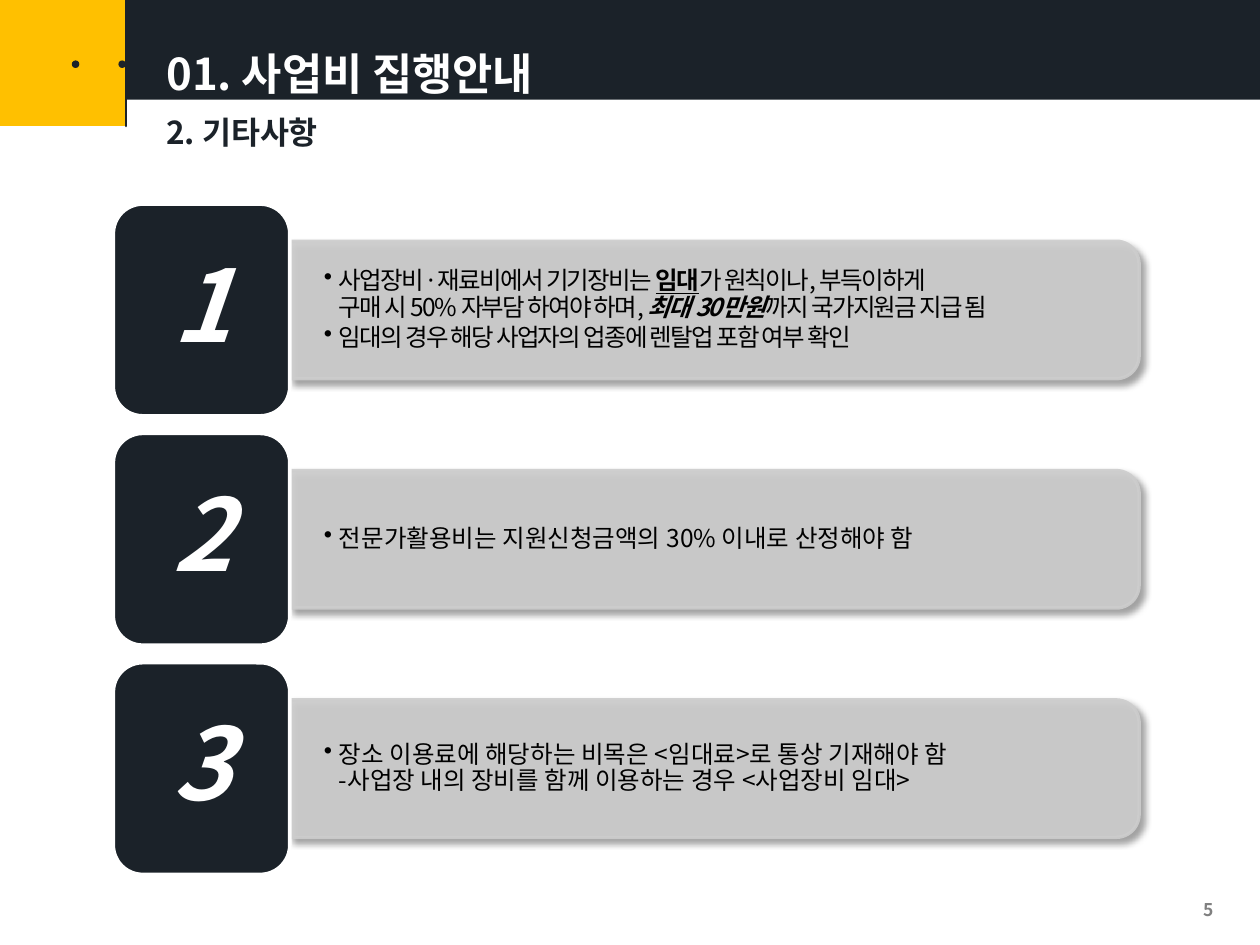
"""Build the project-cost guidance slide with three numbered notes."""
import copy
import math
from dataclasses import dataclass

import pptx
import pptx.dml.color
import pptx.enum.shapes
import pptx.enum.text
import pptx.oxml
import pptx.oxml.ns
import pptx.util
from pptx.util import Inches

FONT = "Noto Sans CJK KR"
NAVY, YELLOW, SILVER, WHITE, BLACK, GRAY = "1B2229", "FFC000", "CDCDCD", "FFFFFF", "000000", "808080"
SHAPES = pptx.enum.shapes.MSO_SHAPE
ALIGN = pptx.enum.text.PP_ALIGN
ANCHOR = pptx.enum.text.MSO_ANCHOR
FIRST_TOP, PITCH = 1.62, 1.82
BADGE_LEFT, BADGE_WIDTH, BADGE_HEIGHT = 0.9, 1.4, 1.68
BAR_LENGTH, BAR_HEIGHT = 6.74, 1.09


@dataclass
class Span:
    text: str
    bold: bool = False
    italic: bool = False
    underline: bool = False


@dataclass
class Note:
    paragraphs: list[list[Span]]
    spacing: float = 0


NOTES = [
    Note([
        [
            Span("사업장비·재료비에서 기기장비는 "),
            Span("임대", bold=True, underline=True),
            Span("가 원칙이나, 부득이하게\n구매 시 50% 자부담 하여야 하며, "),
            Span("최대 30만원", bold=True, italic=True),
            Span("까지 국가지원금 지급 됨"),
        ],
        [Span("임대의 경우 해당 사업자의 업종에 렌탈업 포함 여부 확인")],
    ], spacing=-1),
    Note([[Span("전문가활용비는 지원신청금액의 30% 이내로 산정해야 함")]]),
    Note([[Span("장소 이용료에 해당하는 비목은 <임대료>로 통상 기재해야 함\n"
                "-사업장 내의 장비를 함께 이용하는 경우 <사업장비 임대>")]]),
]


def xml(tag: str, body: str = "", **attributes):
    """Return a drawing element."""
    settings = " ".join(f'{name}="{value}"' for name, value in attributes.items())
    return pptx.oxml.parse_xml(f'<a:{tag} {pptx.oxml.ns.nsdecls("a")} {settings}>{body}</a:{tag}>')


def paint(target, color: str, opacity: int = 100) -> None:
    """Give a fill format a solid colour."""
    target.solid()
    target.fore_color.rgb = pptx.dml.color.RGBColor.from_string(color)
    if opacity < 100:
        for node in target._xPr.iter(pptx.oxml.ns.qn("a:srgbClr")):
            node.append(xml("alpha", val=opacity * 1000))


def style(shape, fill: str | None, line: str | None = None, width: float = 2, opacity: int = 100) -> None:
    """Set the fill and outline of a shape without a shadow."""
    shape.shadow.inherit = False
    for target, color in ((shape.line.fill, line), (shape.fill, fill)):
        if color:
            paint(target, color, opacity)
        else:
            target.background()
    if line:
        shape.line.width = pptx.util.Pt(width)


def add_span(para, span: Span, size: float, color: str, spacing: float = 0) -> None:
    """Append a formatted span, turning newlines into line breaks."""
    for index, text in enumerate(span.text.split("\n")):
        if index:
            para.add_line_break()
            para._p[-1].append(copy.deepcopy(properties))
        run = para.add_run()
        run.text = text
        font = run.font
        font.name, font.size = FONT, pptx.util.Pt(size)
        font.bold, font.italic, font.underline = span.bold, span.italic, span.underline
        paint(font.fill, color)
        properties = run._r.get_or_add_rPr()
        properties.find(pptx.oxml.ns.qn("a:latin")).addnext(xml("ea", typeface=FONT))
        if spacing:
            properties.set("spc", str(int(spacing * 100)))


def write_line(box, span: Span, size: float, color: str, align=ALIGN.LEFT,
               anchor=ANCHOR.MIDDLE, line_spacing: float = 1, before: float = 0, after: float = 0) -> None:
    """Write a single paragraph into a shape."""
    frame = box.text_frame
    frame.word_wrap, frame.vertical_anchor = True, anchor
    para = frame.paragraphs[0]
    para.alignment, para.line_spacing = align, line_spacing
    para.space_before, para.space_after = pptx.util.Pt(before), pptx.util.Pt(after)
    add_span(para, span, size, color)


def add_outline(page, points: list[tuple[float, float]], close: bool):
    """Draw a freeform through points given in inches."""
    builder = page.shapes.build_freeform(*points[0], scale=Inches(1))
    builder.add_line_segments(points[1:], close=close)
    return builder.convert_to_shape()


def add_bulb(page) -> None:
    """Draw the light bulb that rises from the lower edge of the banner."""
    center_x, center_y, radius, floor = 0.785, 0.525, 0.405, 0.79
    start = math.asin((floor - center_y) / radius)
    sweep = math.pi + 2 * start
    angles = [math.pi - start + sweep * step / 60 for step in range(61)]
    arc = [(center_x + radius * math.cos(angle), center_y + radius * math.sin(angle)) for angle in angles]
    style(add_outline(page, arc, True), YELLOW)
    filament = [(0.69, 0.78), (0.6, 0.51), (0.73, 0.51), (0.76, 0.57), (0.79, 0.44),
                (0.82, 0.51), (0.97, 0.51), (0.88, 0.78)]
    style(add_outline(page, filament, False), None, NAVY, 1.5)
    for left in (0.57, 0.94):
        style(page.shapes.add_shape(SHAPES.OVAL, Inches(left), Inches(0.48), Inches(0.06), Inches(0.06)), NAVY)


def add_note(page, number: int, note: Note) -> None:
    """Draw a numbered badge, its bar and its bulleted text."""
    top = FIRST_TOP + (number - 1) * PITCH
    middle = top + BADGE_HEIGHT / 2
    bar_left = BADGE_LEFT + BADGE_WIDTH
    bar = page.shapes.add_shape(
        SHAPES.ROUND_2_SAME_RECTANGLE, Inches(bar_left + (BAR_LENGTH - BAR_HEIGHT) / 2),
        Inches(middle - BAR_LENGTH / 2), Inches(BAR_HEIGHT), Inches(BAR_LENGTH))
    bar.rotation = 90
    style(bar, SILVER, SILVER, opacity=90)
    shade = '<a:srgbClr val="000000"><a:alpha val="40000"/></a:srgbClr>'
    bar._element.spPr.find(pptx.oxml.ns.qn("a:effectLst")).append(
        xml("outerShdw", shade, blurRad=pptx.util.Pt(4), dist=pptx.util.Pt(3), dir=45 * 60000, rotWithShape=0))

    box = page.shapes.add_textbox(Inches(bar_left), Inches(middle - 0.49), Inches(6.68), Inches(0.98))
    frame = box.text_frame
    frame.word_wrap, frame.vertical_anchor = True, ANCHOR.MIDDLE
    frame.margin_left = frame.margin_right = Inches(0.27)
    frame.margin_top = frame.margin_bottom = Inches(0.14)
    for index, spans in enumerate(note.paragraphs):
        para = frame.add_paragraph() if index else frame.paragraphs[0]
        para.line_spacing, para.space_after = 0.9, pptx.util.Pt(2.1)
        layout = para._p.get_or_add_pPr()
        layout.set("marL", str(Inches(0.12)))
        layout.set("indent", str(Inches(-0.12)))
        layout.append(xml("buChar", char="•"))
        for span in spans:
            add_span(para, span, 14, BLACK, note.spacing)

    badge = page.shapes.add_shape(SHAPES.ROUNDED_RECTANGLE, Inches(BADGE_LEFT), Inches(top),
                                  Inches(BADGE_WIDTH), Inches(BADGE_HEIGHT))
    style(badge, NAVY, WHITE)
    write_line(badge, Span(str(number), bold=True, italic=True), 57, WHITE, ALIGN.CENTER,
               line_spacing=0.9, after=20)


def main() -> None:
    """Assemble and save the deck."""
    deck = pptx.Presentation()
    deck.slide_width, deck.slide_height = Inches(10), Inches(7.5)
    page = deck.slides.add_slide(deck.slide_layouts[5])
    banner = page.shapes.add_shape(SHAPES.RECTANGLE, 0, 0, Inches(10), Inches(0.79))
    style(banner, NAVY)
    add_bulb(page)

    title = page.shapes.title
    title.left, title.top, title.width, title.height = Inches(1.22), Inches(0.2), Inches(7.5), Inches(0.65)
    page.shapes.element.append(title.element)
    write_line(title, Span("01. 사업비 집행안내", bold=True), 25, WHITE,
               anchor=ANCHOR.TOP, line_spacing=1.3, before=5)
    subtitle = page.shapes.add_textbox(Inches(1.22), Inches(0.76), Inches(8.04), Inches(0.49))
    write_line(subtitle, Span("2. 기타사항", bold=True), 18, NAVY,
               anchor=ANCHOR.TOP, line_spacing=1.3, before=3.6)
    page_number = page.shapes.add_textbox(Inches(7.4), Inches(7.08), Inches(2.33), Inches(0.27))
    write_line(page_number, Span("5", bold=True), 10, GRAY, ALIGN.RIGHT)

    for number, note in enumerate(NOTES, 1):
        add_note(page, number, note)
    deck.save("out.pptx")


if __name__ == "__main__":
    main()
